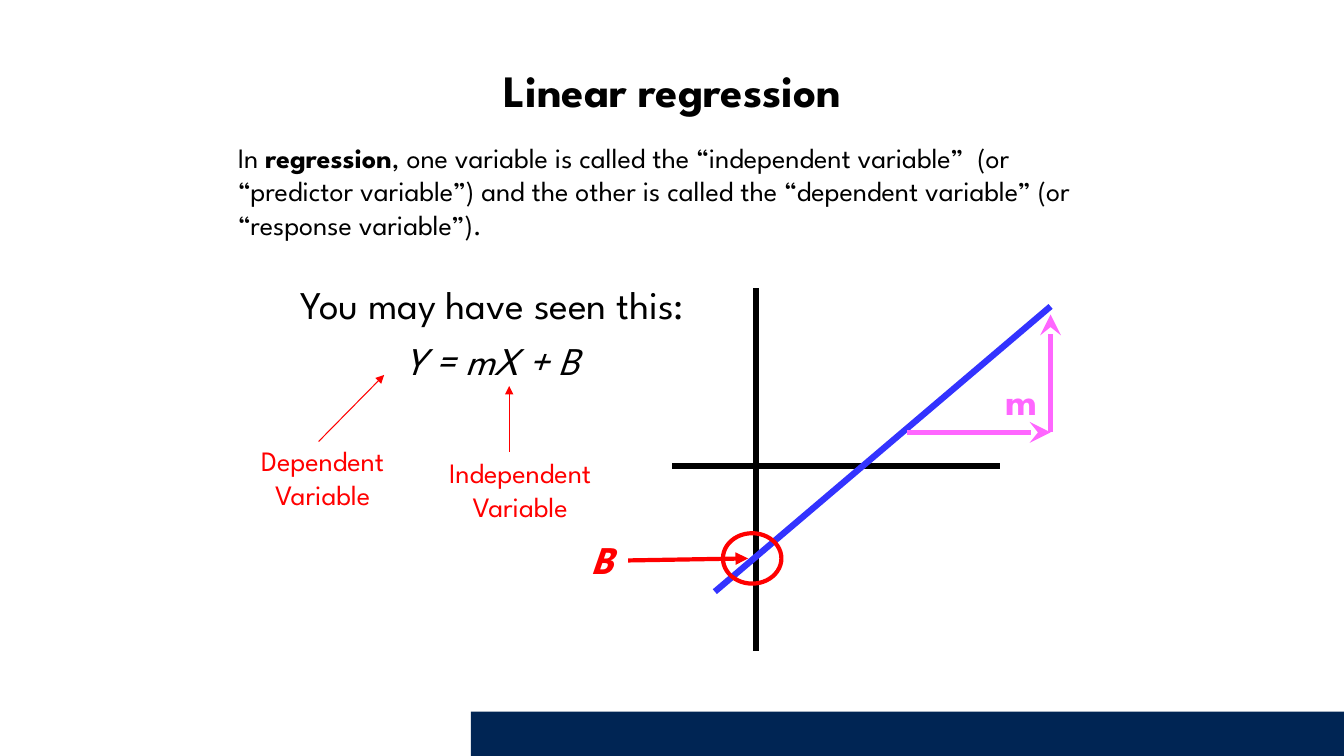
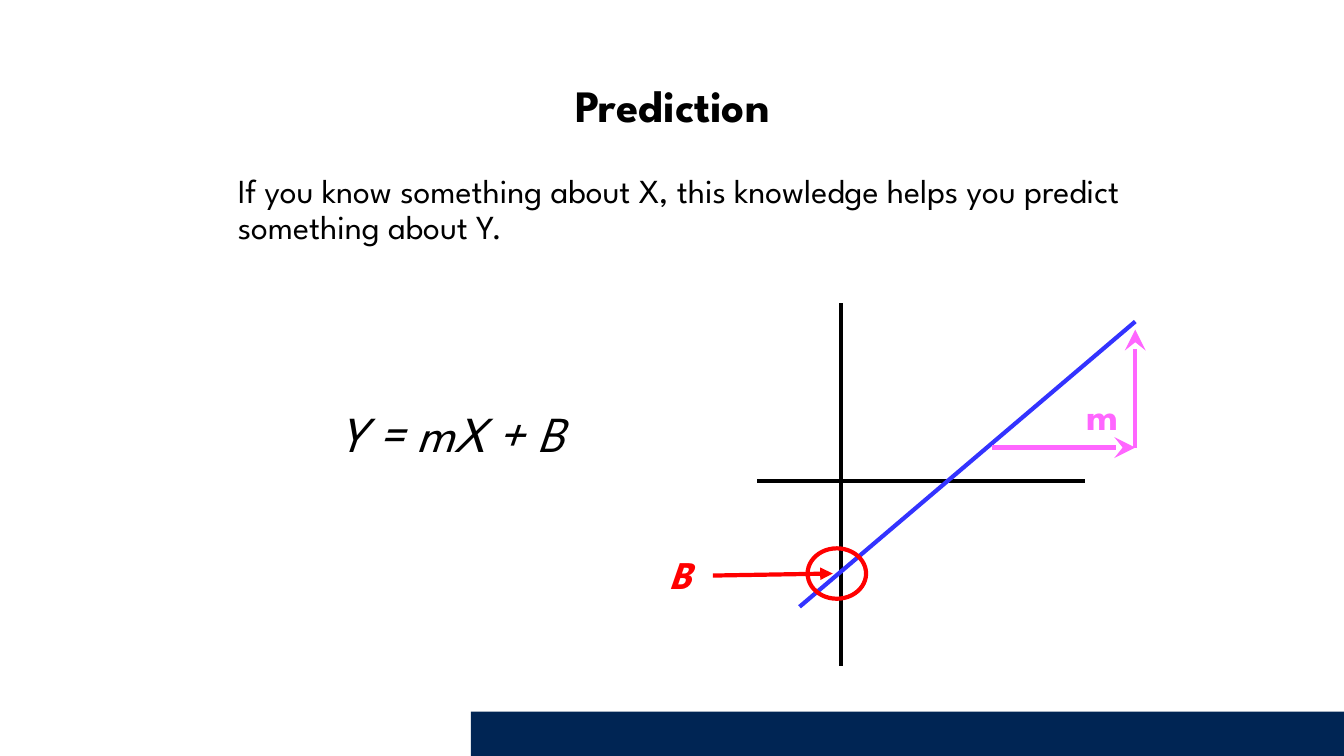
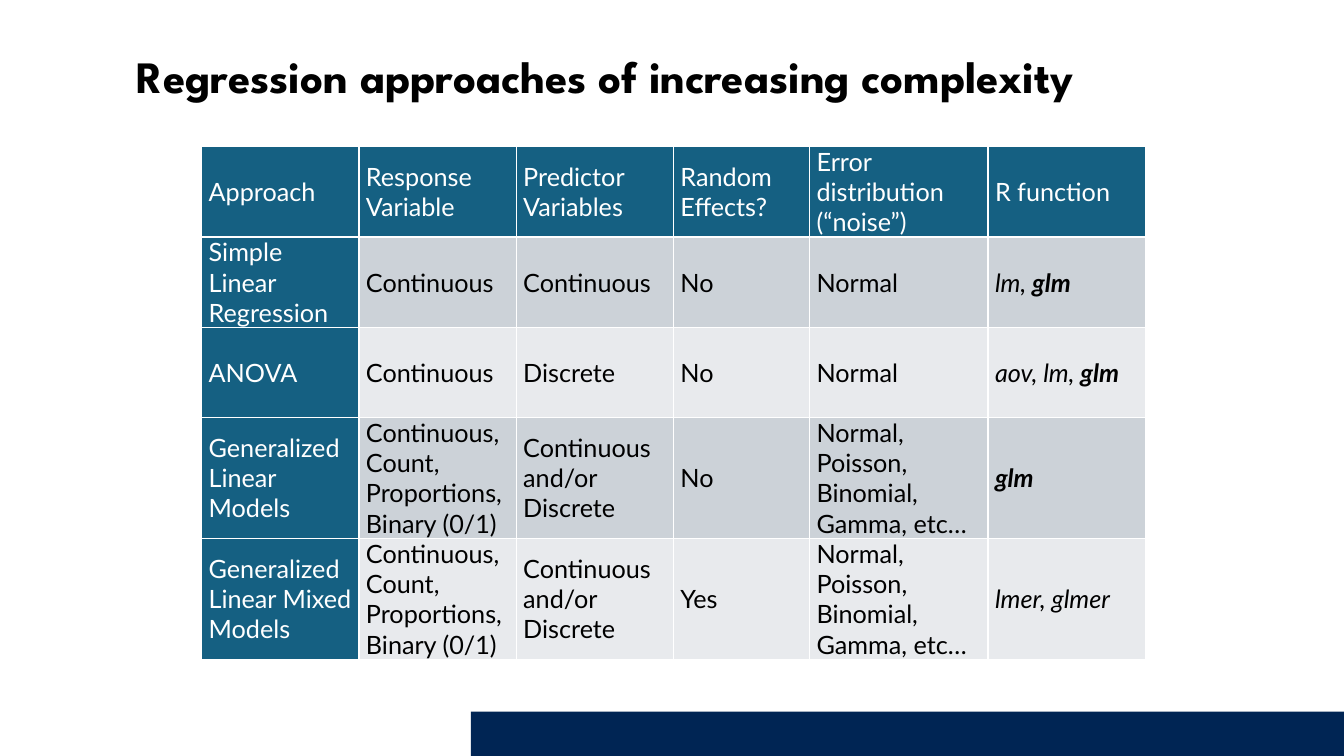
from lxml.etree import SubElement
from pptx import Presentation
from pptx.dml.color import RGBColor
from pptx.enum.shapes import MSO_CONNECTOR, MSO_SHAPE
from pptx.enum.text import MSO_ANCHOR, PP_ALIGN
from pptx.oxml import parse_xml
from pptx.oxml.ns import nsdecls, qn
from pptx.util import Inches, Pt

COLORS = {
    "text": "000000", "white": "FFFFFF", "band": "002554", "header": "156082",
    "row_odd": "CCD2D8", "row_even": "E8EAED",
    "fit": "3333FF", "intercept": "FF0000", "slope": "FF66FF",
}
HEAD_FONT, TABLE_FONT = "League Spartan", "Lato"
TITLE = {"size": Pt(32), "bold": True}
BOLD, ITALIC = {"bold": True}, {"italic": True}
BOLD_ITALIC = {**BOLD, **ITALIC}
CENTER = {"alignment": PP_ALIGN.CENTER}
TIGHT = {"line_spacing": 0.9}

COLUMN_WIDTHS = [1.56, 1.56, 1.56, 1.35, 1.77, 1.56]
ROW_HEIGHTS = [0.9, 0.9, 0.89, 1.2, 1.2]
RESPONSES = ["Continuous,\nCount,\nProportions,", "Binary (0/1)"]
PREDICTORS = ["Continuous and/or", "Discrete"]
ERRORS = ["Normal,", "Poisson, Binomial, Gamma, etc…"]
GLM = ("glm", BOLD_ITALIC)
APPROACHES = [
    ["Approach", "Response Variable", "Predictor Variables", "Random Effects?",
     "Error distribution (“noise”)", "R function"],
    ["Simple Linear Regression", "Continuous", "Continuous", "No", "Normal",
     [[("lm, ", ITALIC), GLM]]],
    ["ANOVA", "Continuous", "Discrete", "No", "Normal",
     [[("aov, lm, ", ITALIC), GLM]]],
    ["Generalized Linear Models", RESPONSES, PREDICTORS, "No", ERRORS, [[GLM]]],
    ["Generalized Linear Mixed Models", RESPONSES, PREDICTORS, "Yes", ERRORS,
     [[("lmer, glmer", ITALIC)]]],
]


def rgb(name):
    return RGBColor.from_string(COLORS[name])


def apply(target, formats):
    for name, value in formats.items():
        setattr(target, name, value)


def write(tf, content, font, color="text", para=None):
    """Fill a frame from a string or a list of paragraphs, each a string or (text, format) runs."""
    paragraphs = [content] if isinstance(content, str) else content
    for i, runs in enumerate(paragraphs):
        p = tf.add_paragraph() if i else tf.paragraphs[0]
        apply(p, para or {})
        if i and para:
            p.space_before = Pt(10)
        for text, formats in [(runs, {})] if isinstance(runs, str) else runs:
            for j, line in enumerate(text.split("\n")):
                if j:
                    p.add_line_break()
                r = p.add_run()
                r.text = line
                apply(r.font, {**font, **formats})
                r.font.color.rgb = rgb(color)


def add_text(s, box, content, font, color="text", para=None):
    tf = s.shapes.add_textbox(*map(Inches, box)).text_frame
    tf.word_wrap = True
    write(tf, content, {"name": HEAD_FONT, **font}, color, para)


def add_line(s, start, end, color, width, arrow=None, size="med"):
    line = s.shapes.add_connector(MSO_CONNECTOR.STRAIGHT, *map(Inches, (*start, *end)))
    line.line.color.rgb = rgb(color)
    line.line.width = Pt(width)
    if arrow:
        SubElement(line.line._get_or_add_ln(), qn("a:tailEnd"), type=arrow, w=size, len=size)
    SubElement(line._element.spPr, qn("a:effectLst"))


def add_slide(prs):
    """Add a blank slide with the band at its foot."""
    s = prs.slides.add_slide(prs.slide_layouts[6])
    band = s.shapes.add_shape(MSO_SHAPE.RECTANGLE, *map(Inches, (4.67, 7.06, 8.66, 0.44)))
    band.shadow.inherit = False
    band.fill.solid()
    band.fill.fore_color.rgb = rgb("band")
    band.line.fill.background()
    return s


def add_plot(s, left, top, width, b_left, m_left):
    """Draw axes, fitted line, intercept B and slope m from the plot's top left corner."""
    def at(x, y):
        return left + x, top + y

    add_line(s, at(0.83, 0), at(0.83, 3.6), "text", width)
    add_line(s, at(0, 1.76), at(3.25, 1.76), "text", width)
    add_line(s, at(0.42, 3.01), at(3.75, 0.18), "fit", width)

    ring = s.shapes.add_shape(MSO_SHAPE.OVAL, *map(Inches, (*at(0.5, 2.43), 0.58, 0.5)))
    ring.shadow.inherit = False
    ring.fill.background()
    ring.line.color.rgb = rgb("intercept")
    ring.line.width = Pt(3)
    add_line(s, at(-0.44, 2.7), at(0.75, 2.68), "intercept", 3, "triangle")

    corner = at(3.75, 1.43)
    add_line(s, at(2.33, 1.43), corner, "slope", 3, "stealth", "lg")
    add_line(s, corner, at(3.75, 0.26), "slope", 3, "stealth", "lg")

    label = {"size": Pt(28), "bold": True}
    add_text(s, (b_left, top + 2.4, 0.75, 0.57), "B", {**label, **ITALIC}, "intercept")
    add_text(s, (m_left, top + 0.82, 1, 0.57), "m", label, "slope")


def style_cell(cell, fill):
    apply(cell, {"vertical_anchor": MSO_ANCHOR.MIDDLE,
                 "margin_left": Inches(0.07), "margin_right": Inches(0.07),
                 "margin_top": 0, "margin_bottom": 0})
    cell.fill.solid()
    cell.fill.fore_color.rgb = rgb(fill)
    tc_pr = cell._tc.get_or_add_tcPr()
    for i, side in enumerate("LRTB"):
        tc_pr.insert(i, parse_xml(
            f'<a:ln{side} {nsdecls("a")} w="{Pt(1)}"><a:solidFill>'
            f'<a:srgbClr val="{COLORS["white"]}"/></a:solidFill></a:ln{side}>'))


def add_approach_table(s):
    box = (2, 1.45, sum(COLUMN_WIDTHS), sum(ROW_HEIGHTS))
    table = s.shapes.add_table(len(ROW_HEIGHTS), len(COLUMN_WIDTHS),
                               *map(Inches, box)).table
    apply(table, {"first_row": False, "horz_banding": False})
    for column, width in zip(table.columns, COLUMN_WIDTHS):
        column.width = Inches(width)
    for i, (height, contents) in enumerate(zip(ROW_HEIGHTS, APPROACHES)):
        table.rows[i].height = Inches(height)
        for j, content in enumerate(contents):
            heading = i == 0 or j == 0
            cell = table.cell(i, j)
            style_cell(cell, "header" if heading else "row_odd" if i % 2 else "row_even")
            write(cell.text_frame, content, {"name": TABLE_FONT, "size": Pt(18)},
                  "white" if heading else "text")


def linear_regression_slide(prs):
    s = add_slide(prs)
    add_text(s, (1.67, 0.63, 10, 0.65), "Linear regression", TITLE, para={**CENTER, **TIGHT})
    add_text(s, (2.26, 1.34, 8.98, 1.11), [[
        ("In ", {}), ("regression", BOLD),
        (", one variable is called the “independent variable”  (or “predictor variable”) "
         "and the other is called the “dependent variable” (or “response variable”).", {}),
    ]], {"size": Pt(20)})
    add_text(s, (2.19, 2.78, 5.38, 1.76),
             ["You may have seen this:", [("Y = mX + B", ITALIC)]],
             {"size": Pt(28)}, para={**CENTER, **TIGHT})
    add_plot(s, 6.67, 2.86, 4.5, b_left=5.77, m_left=9.87)
    for name, box, start, end in [
        ("Dependent", (2.24, 4.35, 1.92, 0.77), (3.16, 4.38), (3.81, 3.72)),
        ("Independent", (4.13, 4.47, 2.06, 0.77), (5.05, 4.48), (5.05, 3.83)),
    ]:
        add_line(s, start, end, "intercept", 0.75, "triangle")
        add_text(s, box, f"{name}\nVariable", {"size": Pt(20)}, "intercept", CENTER)


def prediction_slide(prs):
    s = add_slide(prs)
    add_text(s, (1.67, 0.78, 10, 0.65), "Prediction", TITLE, para={**CENTER, **TIGHT})
    add_text(s, (2.26, 1.68, 9.21, 0.9),
             "If you know something about X, this knowledge helps you predict "
             "something about Y.", {"size": Pt(24)}, para=TIGHT)
    add_text(s, (3.26, 3.94, 3.06, 0.71), "Y = mX + B", {"size": Pt(36), **ITALIC})
    add_plot(s, 7.51, 3.01, 3, b_left=6.54, m_left=10.68)


def approaches_slide(prs):
    s = add_slide(prs)
    add_approach_table(s)
    add_text(s, (1.26, 0.43, 10.82, 0.64),
             "Regression approaches of increasing complexity", TITLE)


def main():
    prs = Presentation()
    prs.slide_width, prs.slide_height = Inches(13.33), Inches(7.5)
    linear_regression_slide(prs)
    prediction_slide(prs)
    approaches_slide(prs)
    prs.save("out.pptx")


if __name__ == "__main__":
    main()
